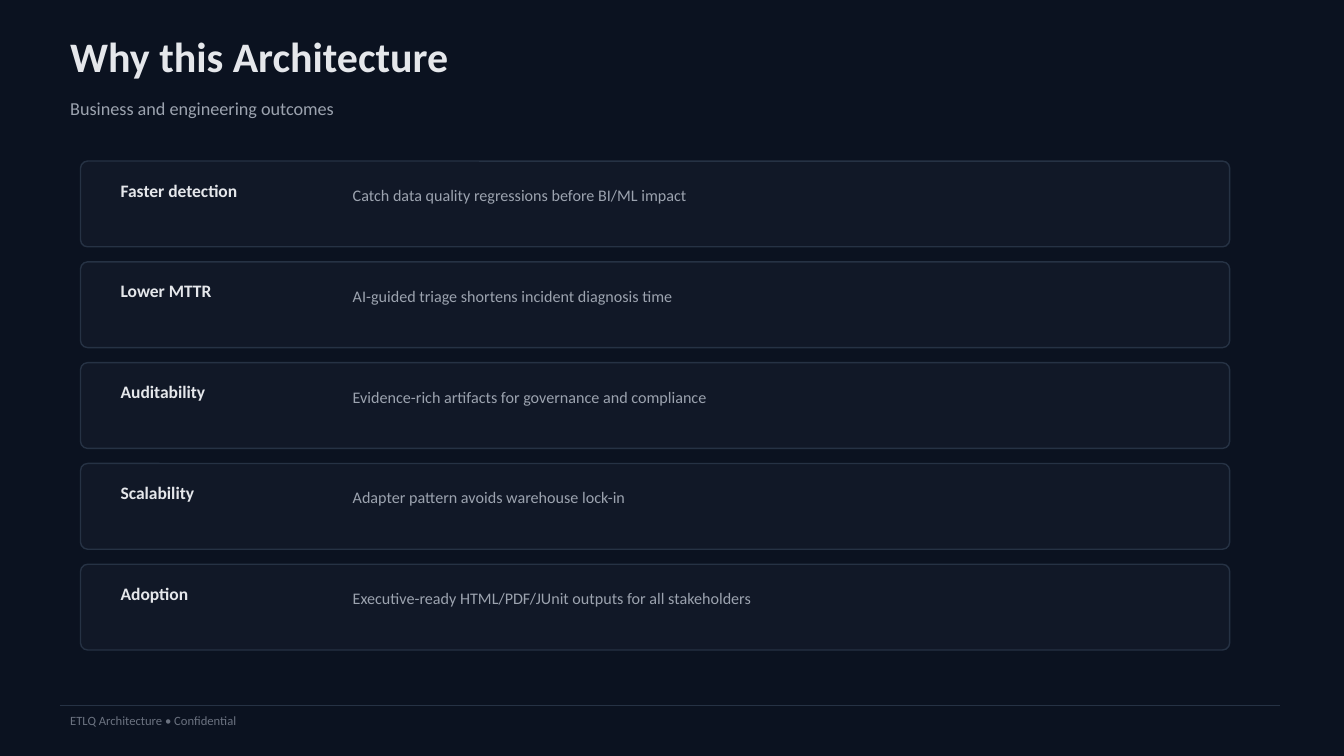
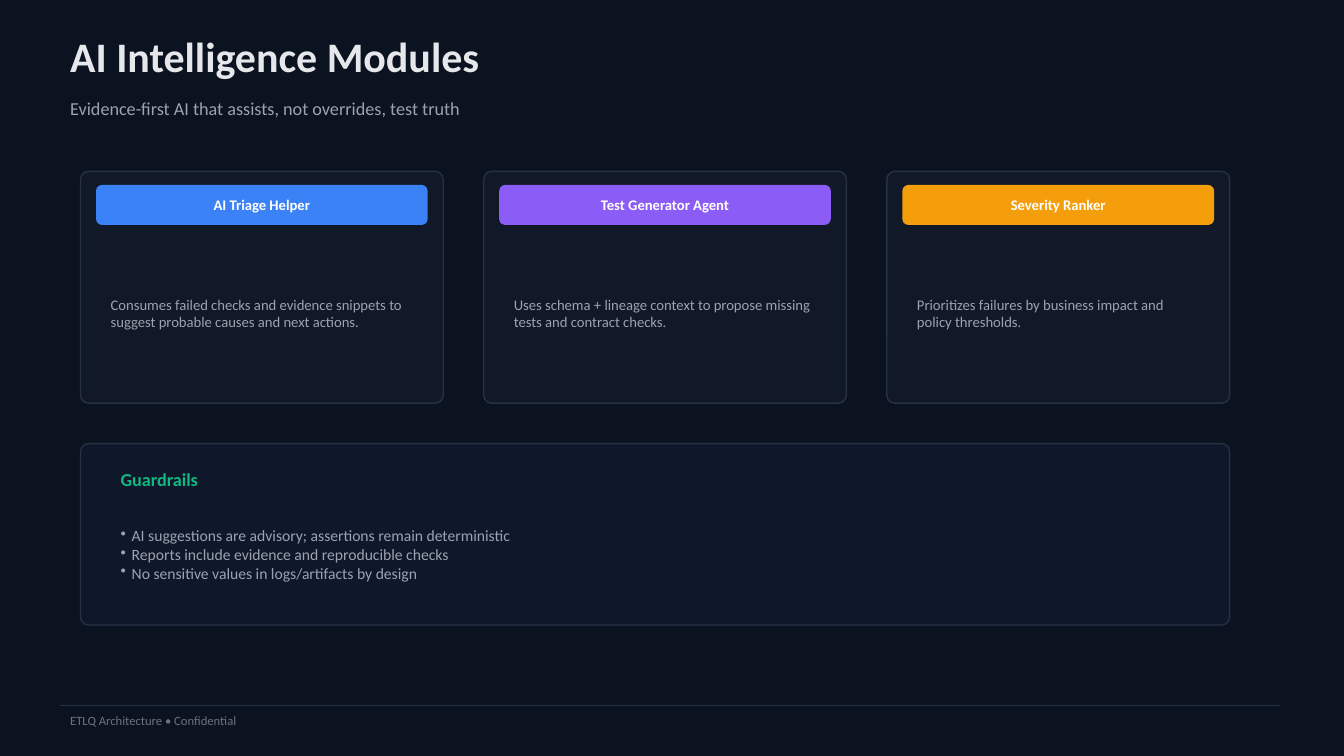
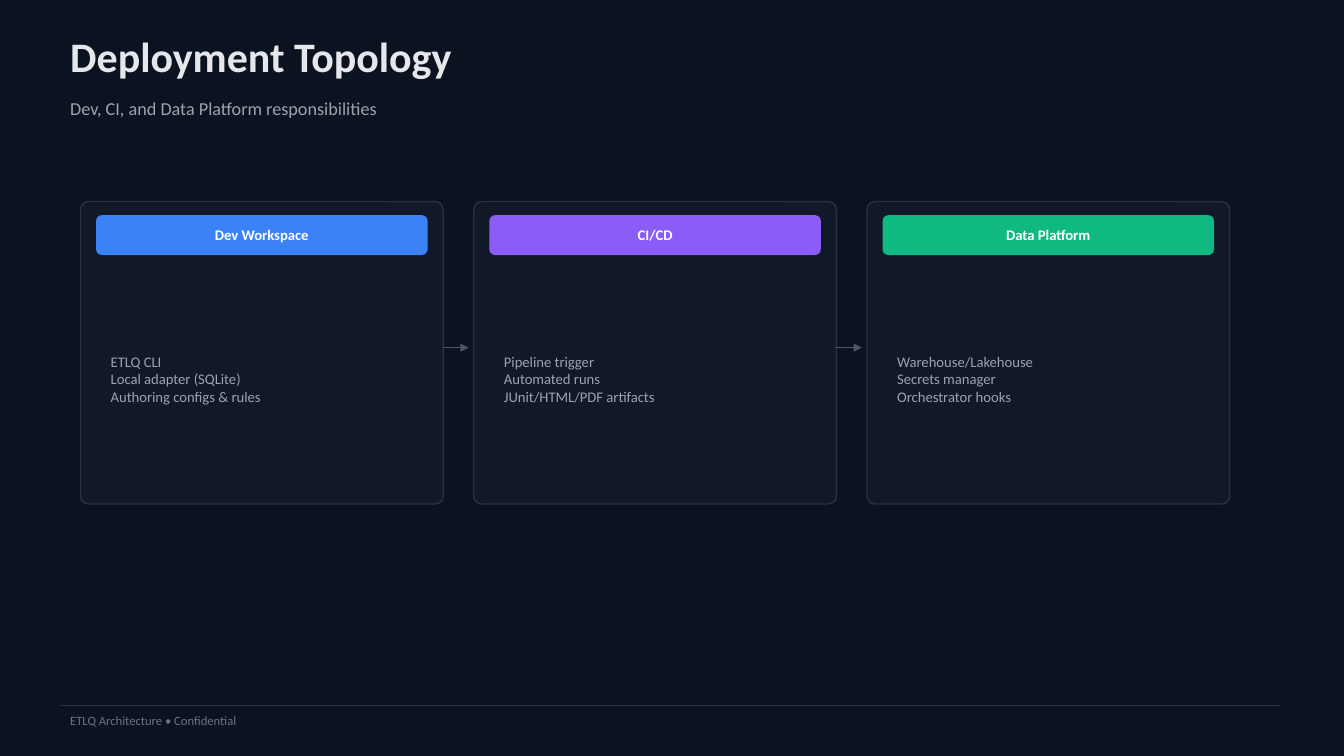
from lxml.etree import SubElement
from pptx import Presentation
from pptx.dml.color import RGBColor
from pptx.enum.shapes import MSO_CONNECTOR, MSO_SHAPE
from pptx.enum.text import MSO_ANCHOR, PP_ALIGN
from pptx.oxml.ns import qn
from pptx.util import Cm, Pt

HEX = {
    "back": "0B1220", "card": "111827", "panel": "0F172A", "edge": "263244",
    "light": "E5E7EB", "muted": "9CA3AF", "dim": "6B7280", "arrow": "4B5563",
    "white": "FFFFFF", "blue": "3B82F6", "violet": "8B5CF6",
    "amber": "F59E0B", "green": "10B981",
}
FONT = "Calibri"
LEFT, WIDE = 2.03, 28.96  # content area, cm


def tint(name):
    return RGBColor.from_string(HEX[name])


class Deck:
    def __init__(self):
        self.file = Presentation()
        self.file.slide_width, self.file.slide_height = Cm(33.87), Cm(19.05)
        self.slide = None

    # Shared frame: background, title, subtitle, footer
    def start(self, title, sub):
        self.slide = self.file.slides.add_slide(self.file.slide_layouts[6])
        fill = self.slide.background.fill
        fill.solid()
        fill.fore_color.rgb = tint("back")
        self.text(1.52, 0.76, 30.48, 1.27, [title], 30, "light", bold=True)
        self.text(1.52, 2.29, 30.48, 0.89, [sub], 13)
        self.line(1.52, 32.26, 17.78, "edge")
        self.text(1.52, 17.91, 10.16, 0.51,
                  ["ETLQ Architecture • Confidential"], 9, "dim")

    def label(self, frame, lines, size, color, bold=False,
              align=PP_ALIGN.LEFT, dots=False):
        frame.word_wrap = True
        frame.vertical_anchor = MSO_ANCHOR.MIDDLE
        for i, line in enumerate(lines):
            para = frame.add_paragraph() if i else frame.paragraphs[0]
            para.text = line
            para.alignment = align
            font = para.font
            font.name, font.size, font.bold = FONT, Pt(size), bold
            font.color.rgb = tint(color)
            if dots:
                props = para._p.get_or_add_pPr()
                props.set("marL", str(Cm(0.28)))
                props.set("indent", str(Cm(-0.28)))
                mark = props.makeelement(qn("a:buChar"), {"char": "•"})
                props.insert_element_before(
                    mark, "a:tabLst", "a:defRPr", "a:extLst")

    def text(self, x, y, w, h, lines, size, color="muted", **style):
        box = self.slide.shapes.add_textbox(Cm(x), Cm(y), Cm(w), Cm(h))
        self.label(box.text_frame, lines, size, color, **style)

    def box(self, x, y, w, h, fill="card", edge="edge", curve=0.2):
        shape = self.slide.shapes.add_shape(
            MSO_SHAPE.ROUNDED_RECTANGLE, Cm(x), Cm(y), Cm(w), Cm(h))
        shape.adjustments[0] = curve / h
        shape.shadow.inherit = False
        shape.fill.solid()
        shape.fill.fore_color.rgb = tint(fill)
        shape.line.color.rgb = tint(edge)
        shape.line.width = Pt(1)
        return shape

    def line(self, x, end, y, color, arrow=False):
        link = self.slide.shapes.add_connector(
            MSO_CONNECTOR.STRAIGHT, Cm(x), Cm(y), Cm(end), Cm(y))
        link.line.color.rgb = tint(color)
        link.line.width = Pt(1)
        if arrow:
            SubElement(link.line._get_or_add_ln(), qn("a:tailEnd"),
                       type="triangle")
        SubElement(link._element.spPr, qn("a:effectLst"))

    def row(self, y, name, note):
        self.box(LEFT, y, WIDE, 2.16, curve=0.18)
        self.text(2.79, y + 0.41, 6.6, 0.64, [name], 12.5, "light", bold=True)
        self.text(8.64, y + 0.41, 21.59, 0.89, [note], 11.5)

    def card(self, x, y, w, h, name, color, lines):
        self.box(x, y, w, h)
        chip = self.box(x + 0.41, y + 0.36, w - 0.82, 0.97, color, color, 0.13)
        self.label(chip.text_frame, [name], 10.5, "white", bold=True,
                   align=PP_ALIGN.CENTER)
        self.text(x + 0.51, y + 1.57, w - 1.02, h - 1.83, lines, 10.5)


def main():
    deck = Deck()

    # Outcomes
    deck.start("Why this Architecture", "Business and engineering outcomes")
    gains = [
        ("Faster detection",
         "Catch data quality regressions before BI/ML impact"),
        ("Lower MTTR", "AI-guided triage shortens incident diagnosis time"),
        ("Auditability",
         "Evidence-rich artifacts for governance and compliance"),
        ("Scalability", "Adapter pattern avoids warehouse lock-in"),
        ("Adoption",
         "Executive-ready HTML/PDF/JUnit outputs for all stakeholders"),
    ]
    for i, (name, note) in enumerate(gains):
        deck.row(4.06 + 2.54 * i, name, note)

    # AI modules and guardrails
    deck.start("AI Intelligence Modules",
               "Evidence-first AI that assists, not overrides, test truth")
    tools = [
        ("AI Triage Helper", "blue", 9.14,
         "Consumes failed checks and evidence snippets to suggest probable "
         "causes and next actions."),
        ("Test Generator Agent", "violet", 9.14,
         "Uses schema + lineage context to propose missing tests and "
         "contract checks."),
        ("Severity Ranker", "amber", 8.64,
         "Prioritizes failures by business impact and policy thresholds."),
    ]
    for i, (name, color, wide, note) in enumerate(tools):
        deck.card(LEFT + 10.16 * i, 4.32, wide, 5.84, name, color, [note])
    deck.box(LEFT, 11.18, WIDE, 4.57, "panel")
    deck.text(2.79, 11.81, 5.08, 0.51, ["Guardrails"], 13, "green", bold=True)
    deck.text(2.79, 12.7, 26.92, 2.54, [
        "AI suggestions are advisory; assertions remain deterministic",
        "Reports include evidence and reproducible checks",
        "No sensitive values in logs/artifacts by design",
    ], 11.2, dots=True)

    # Deployment stages
    deck.start("Deployment Topology",
               "Dev, CI, and Data Platform responsibilities")
    stages = [
        ("Dev Workspace", "blue",
         ["ETLQ CLI", "Local adapter (SQLite)", "Authoring configs & rules"]),
        ("CI/CD", "violet",
         ["Pipeline trigger", "Automated runs", "JUnit/HTML/PDF artifacts"]),
        ("Data Platform", "green",
         ["Warehouse/Lakehouse", "Secrets manager", "Orchestrator hooks"]),
    ]
    wide = 9.14
    for i, (name, color, lines) in enumerate(stages):
        x = LEFT + 9.91 * i
        deck.card(x, 5.08, wide, 7.62, name, color, lines)
        if i < len(stages) - 1:
            deck.line(x + wide, x + wide + 0.64, 8.76, "arrow", arrow=True)

    deck.file.save("out.pptx")


if __name__ == "__main__":
    main()
